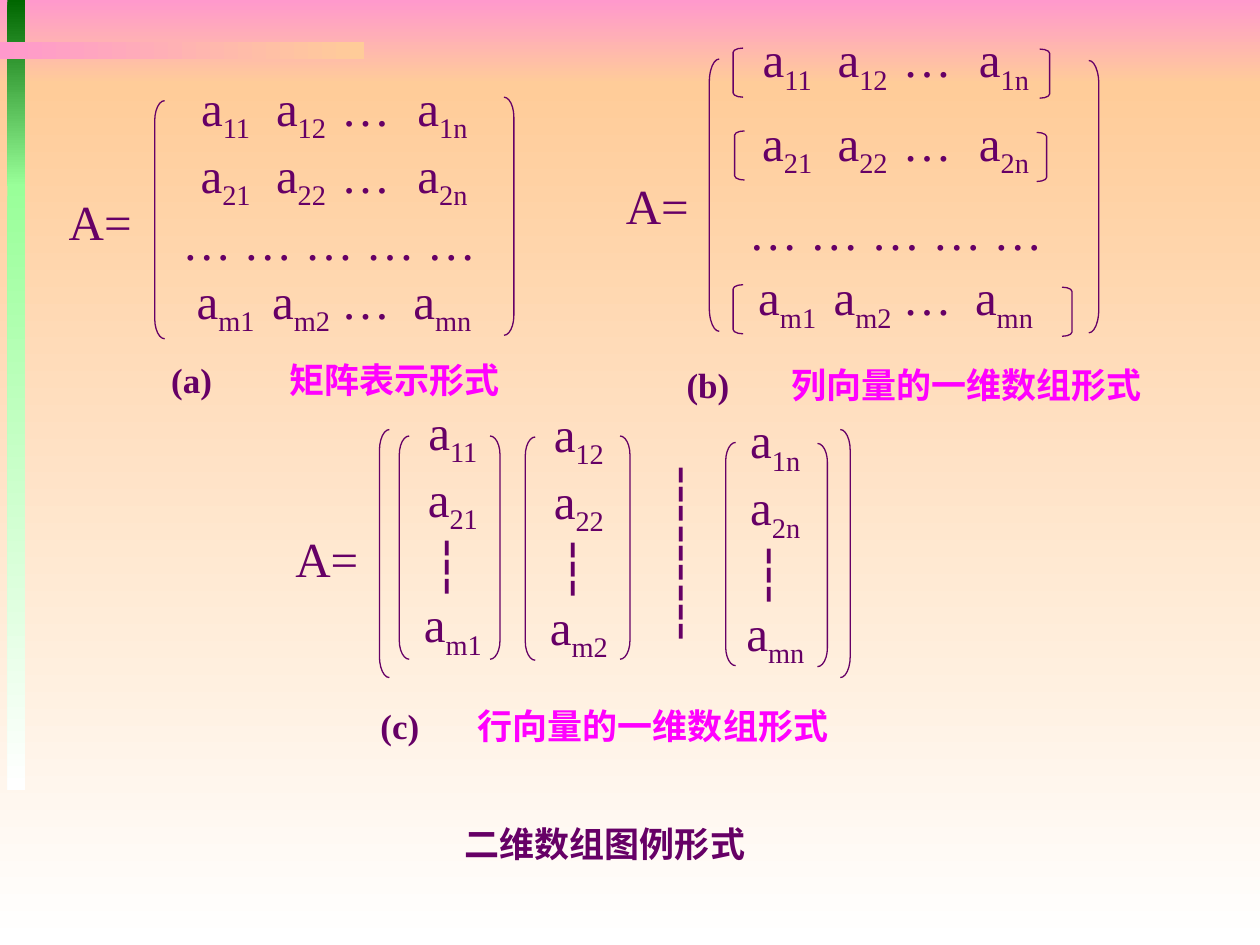
"""Slide showing three ways to view a two-dimensional array."""
from lxml import etree
from pptx import Presentation, util as u
from pptx.dml.color import RGBColor
from pptx.enum import shapes, text
from pptx.oxml.ns import qn

COLORS = {"ink": "660066", "accent": "FF00FF", "pink": "FF99CC", "peach": "FFCC99",
          "white": "FFFFFF", "green": "006600", "mint": "99FF99"}
SERIF, SANS = "Times New Roman", "Arial"
TITLE = "二维数组图例形式"

BANDS = [((0, 0, 10, 0.67), "pink", "peach", 270),
         ((0, 0.67, 10, 6.83), "peach", "white", 270),
         ((0.06, 0, 0.14, 1.48), "green", "mint", 270),
         ((0.06, 1.46, 0.14, 4.81), "mint", "white", 270),
         ((0, 0.33, 2.89, 0.14), "pink", "peach", 0)]

ROWS = [["a_11", "a_12", "…", "a_1n"],
        ["a_21", "a_22", "…", "a_2n"],
        ["… … … … …"],
        ["a_m1", "a_m2", "…", "a_mn"]]
COLUMN_STOPS = [0.39, 0.99, 1.5, 2.11]
ROW_TOPS = [0.3, 0.96, 1.64, 2.19]

VECTORS = [("1", (3.26, 3.21, 0.67, 2.01)),
           ("2", (4.26, 3.23, 0.67, 2.01)),
           ("n", (5.82, 3.3, 0.67, 1.97))]
NAMES = [(0.5, 1.52, 0.59, 0.47), (4.92, 1.39, 0.59, 0.47), (2.26, 4.13, 0.67, 0.59)]

# left x, left top, right x, right top, height
BRACKETS = [(1.23, 0.8, 4, 0.77, 1.89),
            (5.63, 0.47, 8.64, 0.48, 2.16),
            (5.82, 0.38, 8.25, 0.39, 0.39),
            (5.83, 1.04, 8.23, 1.05, 0.39),
            (5.82, 2.26, 8.43, 2.28, 0.39),
            (3.17, 3.46, 3.89, 3.46, 1.77),
            (4.17, 3.47, 4.92, 3.46, 1.77),
            (5.76, 3.51, 6.49, 3.52, 1.77),
            (3.01, 3.41, 6.67, 3.41, 1.97)]

CAPTIONS = [("(a)", "矩阵表示形式", (1.26, 2.8, 3, 0.42), 0.94),
            ("(b)", "列向量的一维数组形式", (5.35, 2.84, 3.92, 0.42), 0.83),
            ("(c)", "行向量的一维数组形式", (2.92, 5.55, 3.92, 0.42), 0.77)]


def inches(value):
    return u.Cm(round(value * 2.54, 2))


def rgb(name):
    return RGBColor.from_string(COLORS[name])


def add_preset(s, kind, box):
    sp = s.shapes.add_shape(kind, *map(inches, box))
    sp.shadow.inherit = False
    return sp


def add_band(s, box, start, end, angle):
    sp = add_preset(s, shapes.MSO_SHAPE.RECTANGLE, box)
    sp.line.fill.background()
    sp.fill.gradient()
    sp.fill.gradient_angle = angle
    for stop, color in zip(sp.fill.gradient_stops, (start, end)):
        stop.color.rgb = rgb(color)


def add_brackets(s, left, left_top, right, right_top, height):
    for kind, x, y in ((shapes.MSO_SHAPE.LEFT_BRACKET, left, left_top),
                       (shapes.MSO_SHAPE.RIGHT_BRACKET, right, right_top)):
        sp = add_preset(s, kind, (x, y, 0.08, height))
        sp.adjustments[0] = round(1.07 * height, 2)
        sp.fill.background()
        sp.line.color.rgb = rgb("ink")
        sp.line.width = u.Pt(0.75)


def add_frame(s, box, wrap=False, margins=(0, 0)):
    tf = s.shapes.add_textbox(*map(inches, box)).text_frame
    tf.word_wrap = wrap
    tf.vertical_anchor = text.MSO_ANCHOR.MIDDLE
    tf.margin_left = tf.margin_right = inches(margins[0])
    tf.margin_top = tf.margin_bottom = inches(margins[1])
    return tf


def add_run(p, content, size=28, font=SERIF, color="ink", bold=False):
    r = p.add_run()
    r.text = content
    r.font.size, r.font.name, r.font.bold = u.Pt(size), font, bold
    r.font.color.rgb = rgb(color)
    return r


def add_tabs(p, stops, align):
    tabs = etree.SubElement(p._p.get_or_add_pPr(), qn("a:tabLst"))
    for stop in stops:
        etree.SubElement(tabs, qn("a:tab"), pos=str(inches(stop)), algn=align)


def add_entry(p, entry, lead=""):
    base, _, index = entry.partition("_")
    add_run(p, lead + base)
    if index:
        add_run(p, index)._r.get_or_add_rPr().set("baseline", "-25000")


def write_rows(s, box, rows):
    tf = add_frame(s, box, wrap=True)
    for i, row in enumerate(rows):
        p = tf.add_paragraph() if i else tf.paragraphs[0]
        if len(row) == 1:
            p.alignment = text.PP_ALIGN.CENTER
            add_entry(p, row[0])
            continue
        p.alignment = text.PP_ALIGN.LEFT
        add_tabs(p, COLUMN_STOPS, "ctr")
        for entry in row:
            add_entry(p, entry, "\t")


def write_column(s, box, entries):
    tf = add_frame(s, box)
    for i, entry in enumerate(entries):
        p = tf.add_paragraph() if i else tf.paragraphs[0]
        p.alignment = text.PP_ALIGN.CENTER
        add_entry(p, entry)


def write_caption(s, label, wording, box, stop):
    p = add_frame(s, box, wrap=True, margins=(0.1, 0.05)).paragraphs[0]
    p.alignment = text.PP_ALIGN.LEFT
    add_tabs(p, [stop], "l")
    add_run(p, label + "\t", 20, bold=True)
    add_run(p, wording, 20, SANS, "accent", True)


def write_title(s):
    sp = s.shapes.title
    sp.left, sp.top, sp.width, sp.height = map(inches, (3.09, 6.48, 3.42, 0.42))
    tf = sp.text_frame
    tf.word_wrap = True
    tf.auto_size = text.MSO_AUTO_SIZE.NONE
    tf.vertical_anchor = text.MSO_ANCHOR.MIDDLE
    p = tf.paragraphs[0]
    p.alignment = text.PP_ALIGN.CENTER
    add_run(p, TITLE, 20, SANS, bold=True)
    s.shapes.element.append(sp.element)


def main():
    prs = Presentation()
    prs.slide_width, prs.slide_height = inches(10), inches(7.5)
    s = prs.slides.add_slide(prs.slide_layouts[5])
    for band in BANDS:
        add_band(s, *band)
    write_rows(s, (1.4, 0.68, 2.42, 1.93), ROWS)
    for top, row in zip(ROW_TOPS, ROWS):
        write_rows(s, (5.86, top, 2.5, 0.39), [row])
    for index, box in VECTORS:
        write_column(s, box, [f"a_1{index}", f"a_2{index}", "┆ ", f"a_m{index}"])
    write_column(s, (5.13, 3.49, 0.55, 1.77), ["┆"] * 3)
    for box in NAMES:
        write_column(s, box, ["A="])
    for pair in BRACKETS:
        add_brackets(s, *pair)
    for caption in CAPTIONS:
        write_caption(s, *caption)
    write_title(s)
    prs.save("out.pptx")


if __name__ == "__main__":
    main()
